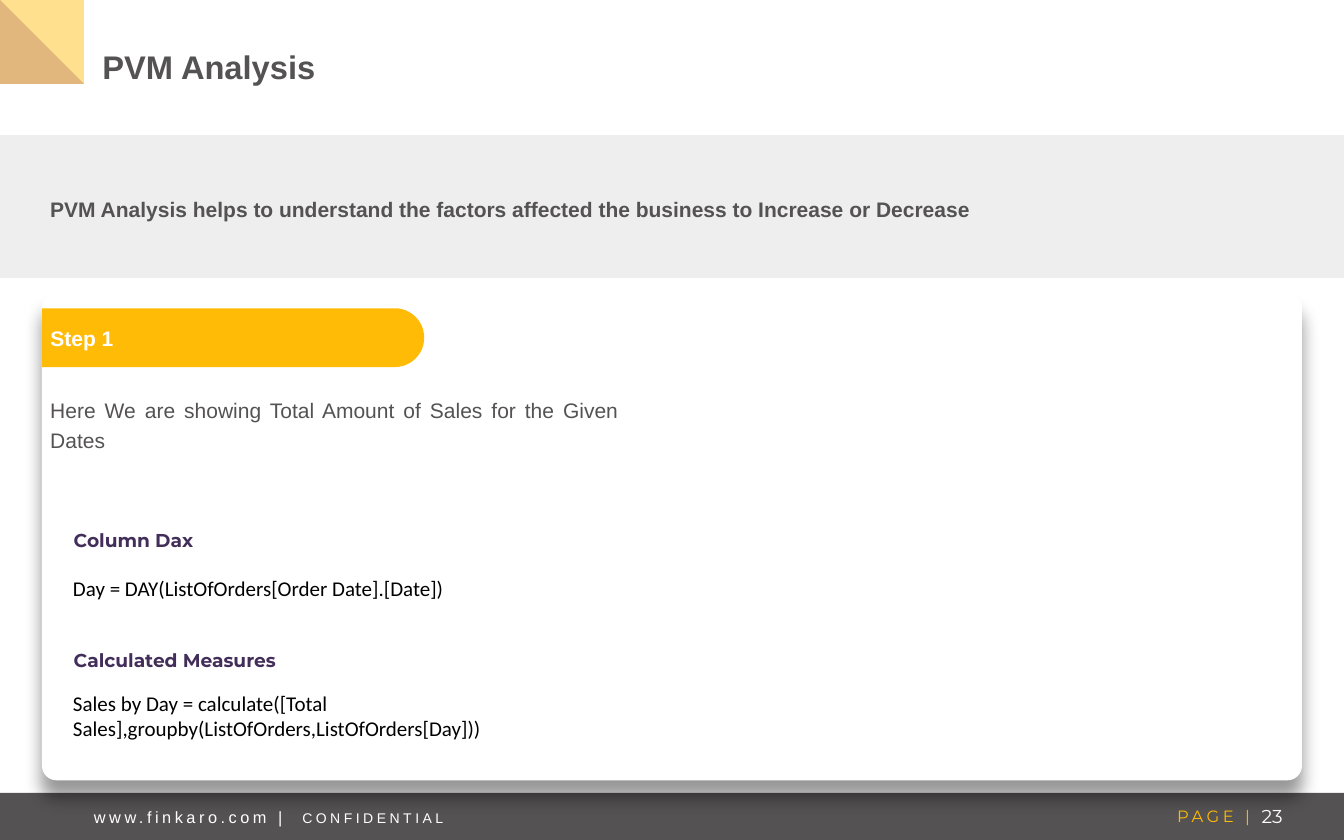
from dataclasses import dataclass

from lxml import etree
from pptx import Presentation
from pptx import util as u
from pptx.dml.color import RGBColor
from pptx.enum import shapes, text
from pptx.oxml.ns import qn

COLS, ROWS = 16, 10
UNIT = u.Inches(1)
KIND = shapes.MSO_SHAPE
MID, TOP = text.MSO_ANCHOR.MIDDLE, text.MSO_ANCHOR.TOP
ALIGN = text.PP_ALIGN


class Theme:
    gray, pale, white, black = "545252", "EEEEEE", "FFFFFF", "000000"
    gold, lilac, plum = "FFBB05", "A886CD", "422E59"
    title = dict(name="Arial", size=28, bold=True, color=gray)
    lead = dict(title, size=18)
    step = dict(lead, color=white)
    body = dict(lead, bold=False)
    code = dict(name="Calibri", size=18, color=black)
    head = dict(name="Montserrat", size=16, bold=True, color=plum)
    site = dict(name="Arial", size=14, color=white, spc=3)
    note = dict(site, size=12)
    page = dict(name="Montserrat", size=14, color=gold, spc=3)
    number = dict(name="Montserrat", size=16, color=white)
    justify = dict(alignment=ALIGN.JUSTIFY, line_spacing=1.2, space_after=u.Pt(6))


@dataclass
class Box:
    """An area in grid columns and rows of the slide."""
    x: float
    y: float
    w: float
    h: float

    def inner(self, x, y, w, h):
        return Box(self.x + x, self.y + y, w, h)

    def emu(self):
        return [round(v * UNIT) for v in (self.x, self.y, self.w, self.h)]


def style(run, look):
    for key, value in look.items():
        if key == "color":
            run.font.color.rgb = RGBColor.from_string(value)
        elif key == "spc":
            run.font._element.set("spc", str(value * 100))
        else:
            setattr(run.font, key, u.Pt(value) if key == "size" else value)


def write(shape, runs, para=None, anchor=TOP):
    """Fill a shape with one paragraph of (words, look) runs."""
    frame = shape.text_frame
    form = dict(word_wrap=True, auto_size=text.MSO_AUTO_SIZE.NONE,
                vertical_anchor=anchor)
    for key, value in form.items():
        setattr(frame, key, value)
    line = frame.paragraphs[0]
    for key, value in (para or {}).items():
        setattr(line, key, value)
    for words, look in runs:
        run = line.add_run()
        run.text = words
        style(run, look)
    return line


def label(slide, box, runs, para=None, anchor=TOP):
    return write(slide.shapes.add_textbox(*box.emu()), runs, para, anchor)


def paint(shape, color, alpha=None):
    shape.shadow.inherit = False
    shape.fill.solid()
    shape.fill.fore_color.rgb = RGBColor.from_string(color)
    shape.line.fill.background()
    if alpha:
        tint = shape._element.spPr.find(".//" + qn("a:srgbClr"))
        etree.SubElement(tint, qn("a:alpha"), val=str(alpha * 1000))
    return shape


def block(slide, box, color, kind=KIND.RECTANGLE):
    return paint(slide.shapes.add_shape(kind, *box.emu()), color)


def curve(start, *ctrl, steps=16):
    """Points along a cubic curve, without its start."""
    pts = (start, *ctrl)
    for i in range(1, steps + 1):
        t = i / steps
        mix = ((1 - t) ** 3, 3 * t * (1 - t) ** 2, 3 * t * t * (1 - t), t ** 3)
        yield tuple(sum(m * p[k] for m, p in zip(mix, pts)) for k in (0, 1))


def pill(slide, color, alpha, base, low, bends, top):
    """A slanted bar with a round end, cut off by the slide's left edge."""
    pts = [low]
    for bend in bends:
        pts += curve(pts[-1], *bend)
    build = slide.shapes.build_freeform(0, base, scale=UNIT)
    build.add_line_segments(pts + [(0, top)], close=True)
    paint(build.convert_to_shape(), color, alpha)


def corner(slide):
    pill(slide, Theme.lilac, 61, 1.07, (0.47, 1.34),
         [((0.62, 1.43), (0.82, 1.38), (0.91, 1.22)),
          ((1, 1.07), (0.95, 0.86), (0.79, 0.77))], 0.32)
    pill(slide, Theme.gold, 45, 0.57, (0.26, 0.72),
         [((0.36, 0.78), (0.48, 0.74), (0.53, 0.65)),
          ((0.59, 0.55), (0.55, 0.43), (0.46, 0.38))], 0.11)


def footer(slide, box):
    block(slide, box, Theme.gray)
    label(slide, box.inner(12.54, 0.11, 2.44, 0.34), [("PAGE |", Theme.page)],
          dict(alignment=ALIGN.RIGHT))
    label(slide, box.inner(14.79, 0, 0.71, box.h), [("23", Theme.number)],
          dict(alignment=ALIGN.CENTER), MID)
    line = label(slide, box.inner(1.02, 0.02, 6.81, 0.54),
                 [("www.finkaro.com |\t", Theme.site),
                  ("CONFIDENTIAL", Theme.note)], anchor=MID)
    tabs = etree.SubElement(line._p.get_or_add_pPr(), qn("a:tabLst"))
    etree.SubElement(tabs, qn("a:tab"), pos=str(round(2.48 * UNIT)), algn="l")


def heading(slide, box):
    title = slide.shapes.title
    title.left, title.top, title.width, title.height = box.emu()
    write(title, [("PVM Analysis", Theme.title)], Theme.justify, MID)


def banner(slide, box):
    block(slide, box, Theme.pale)
    label(slide, box.inner(0.5, 0.64, box.w - 1, 0.43),
          [("PVM Analysis helps to understand the factors affected the business "
            "to Increase or Decrease", Theme.lead)], Theme.justify, MID)


def shade(shape):
    glow = etree.SubElement(
        shape._element.spPr.find(qn("a:effectLst")), qn("a:outerShdw"),
        blurRad=str(u.Pt(14)), dist=str(u.Pt(15)), dir="5400000",
        algn="t", rotWithShape="0")
    tint = etree.SubElement(glow, qn("a:srgbClr"), val=Theme.black)
    etree.SubElement(tint, qn("a:alpha"), val="40000")


def ribbon(slide, box, words):
    """A bar with a round right end: an upright shape turned by 90 degrees."""
    turned = box.inner((box.w - box.h) / 2, (box.h - box.w) / 2, box.h, box.w)
    bar = block(slide, turned, Theme.gold, KIND.ROUND_2_SAME_RECTANGLE)
    bar.rotation = 90
    bar.adjustments[0], bar.adjustments[1] = 0.5, 0
    write(bar, [(words, Theme.step)], dict(alignment=ALIGN.LEFT), MID)
    frame = bar.text_frame
    for side in ("left", "right", "top", "bottom"):
        setattr(frame, "margin_" + side, u.Inches(0.1))
    frame._txBody.bodyPr.set("vert", "vert270")


def card(slide, box):
    panel = block(slide, box, Theme.white, KIND.ROUNDED_RECTANGLE)
    panel.adjustments[0] = 0.03
    shade(panel)
    ribbon(slide, box.inner(0, 0.18, 4.55, 0.7), "Step 1")
    label(slide, box.inner(0, 1.13, 6.96, 0.79),
          [("Here We are showing Total Amount of Sales for the Given Dates",
            Theme.body)], Theme.justify)
    formulas = [
        (2.73, 0.4, "Column Dax", 3.31, 4.72,
         "Day = DAY(ListOfOrders[Order Date].[Date])"),
        (4.19, 0.32, "Calculated Measures", 4.68, 6.69,
         "Sales by Day = calculate([Total "
         "Sales],groupby(ListOfOrders,ListOfOrders[Day]))")]
    for top, tall, name, low, wide, code in formulas:
        label(slide, box.inner(0.28, top, 2.7, tall), [(name, Theme.head)],
              dict(line_spacing=1.1), MID)
        label(slide, box.inner(0.27, low, wide, 0.4), [(code, Theme.code)])


def main():
    deck = Presentation()
    deck.slide_width, deck.slide_height = COLS * UNIT, ROWS * UNIT
    slide = deck.slides.add_slide(deck.slide_layouts[5])
    corner(slide)
    footer(slide, Box(0, 9.44, COLS, 0.56))
    heading(slide, Box(1.12, 0, 12.94, 1.5))
    banner(slide, Box(0, 1.61, COLS, 1.7))
    card(slide, Box(0.5, 3.49, COLS - 1, 5.8))
    deck.save("out.pptx")


if __name__ == "__main__":
    main()
